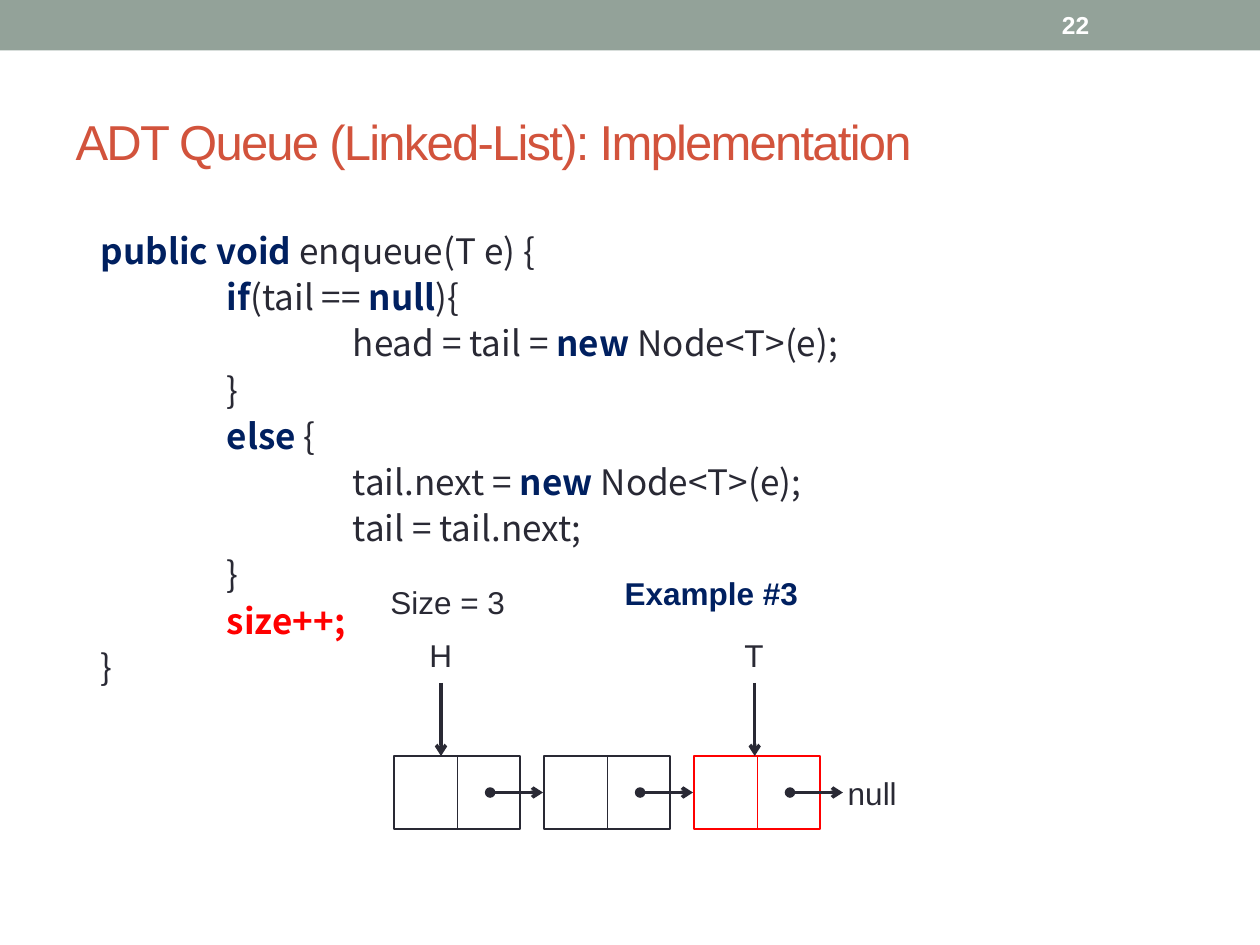
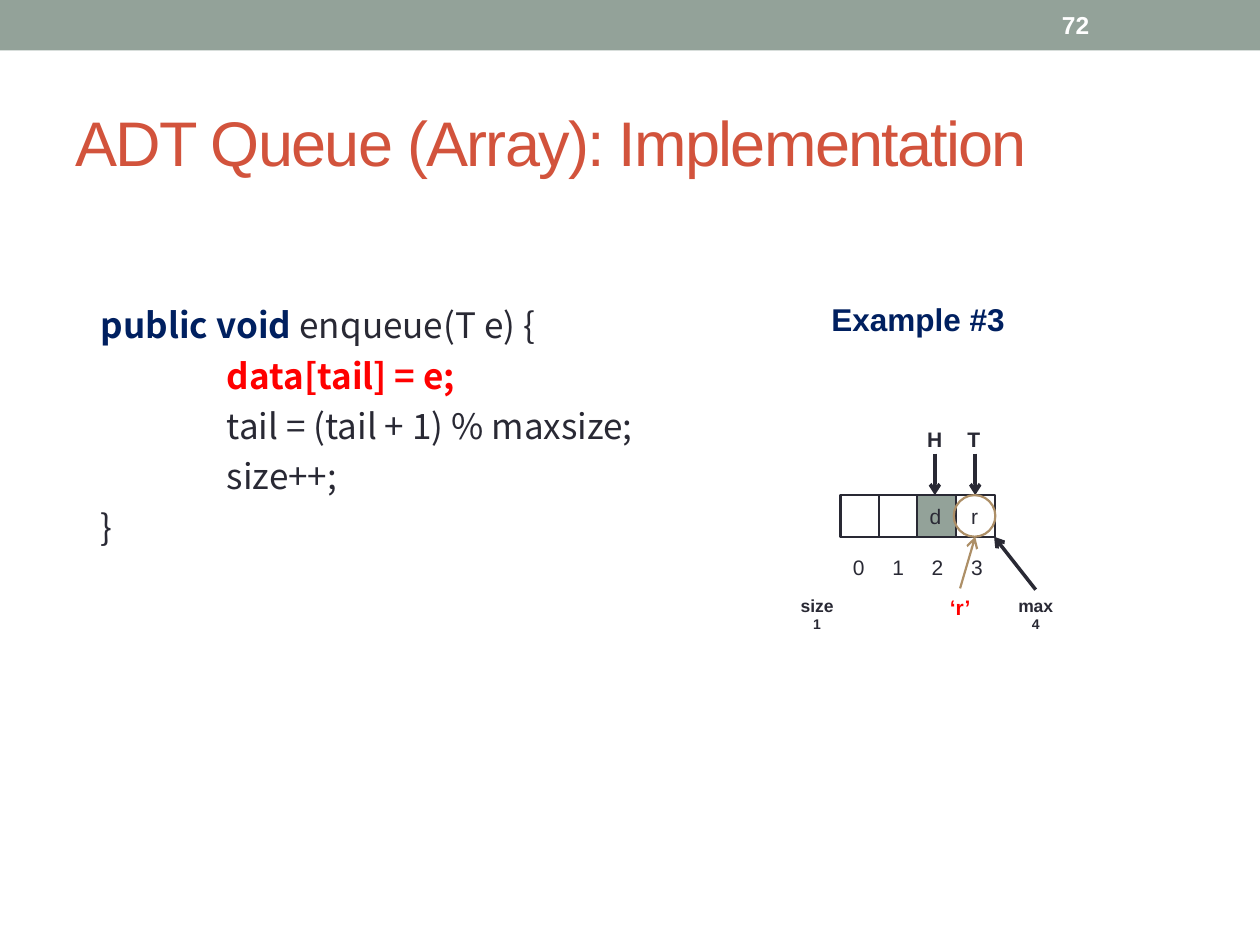
"""Build two slides on queue implementations."""
from lxml.etree import SubElement
from pptx import Presentation
from pptx.dml.color import RGBColor
from pptx.enum.shapes import MSO_CONNECTOR, MSO_SHAPE
from pptx.enum.text import MSO_ANCHOR, MSO_AUTO_SIZE, PP_ALIGN
from pptx.oxml.ns import qn
from pptx.util import Inches, Pt

WHITE = RGBColor(0xFF, 0xFF, 0xFF)
SAGE = RGBColor(0x93, 0xA2, 0x99)
INK = RGBColor(0x29, 0x29, 0x34)
NAVY = RGBColor(0x00, 0x20, 0x60)
RED = RGBColor(0xFF, 0x00, 0x00)
RUST = RGBColor(0xD2, 0x53, 0x3C)
TAN = RGBColor(0xAD, 0x8F, 0x67)

COLUMNS, ROWS = 100, 75
KEYWORD = {"color": NAVY, "bold": True}
CURRENT = {"color": RED, "bold": True}
CODE = {"name": "Noto Sans CJK SC", "size": Pt(20), "color": INK, "bold": False}
LABEL = {"name": "Arial", "size": Pt(18), "color": INK, "bold": False}
SMALL = LABEL | {"size": Pt(12)}
EXAMPLE = LABEL | KEYWORD

LINKED_CODE = [
    (0, [("public void ", KEYWORD), ("enqueue(T e) {", {})]),
    (1, [("if", KEYWORD), ("(tail == ", {}), ("null", KEYWORD), ("){", {})]),
    (2, [("head = tail = ", {}), ("new ", KEYWORD), ("Node<T>(e);", {})]),
    (1, [("}", {})]),
    (1, [("else ", KEYWORD), ("{", {})]),
    (2, [("tail.next = ", {}), ("new ", KEYWORD), ("Node<T>(e);", {})]),
    (2, [("tail = tail.next;", {})]),
    (1, [("}", {})]),
    (1, [("size++;", CURRENT)]),
    (0, [("}", {})]),
]
ARRAY_CODE = [
    (0, [("public void ", KEYWORD), ("enqueue(T e) {", {})]),
    (1, [("data[tail] = e;", CURRENT)]),
    (1, [("tail = (tail + 1) % maxsize;", {})]),
    (1, [("size++;", {})]),
    (0, [("}", {})]),
]


class Deck:
    """Hold the shared style and the current slide."""

    def __init__(self):
        """Start an empty presentation with a square grid."""
        self.presentation = Presentation()
        self.presentation.slide_width = Inches(10)
        self.presentation.slide_height = Inches(7.5)
        self.slide = None

    def grid(self, left, top, width, height):
        """Turn columns and rows into lengths."""
        column = self.presentation.slide_width / COLUMNS
        row = self.presentation.slide_height / ROWS
        return [int(left * column), int(top * row), int(width * column), int(height * row)]

    def place(self, shape, *box):
        """Move a placeholder to a grid box."""
        shape.left, shape.top, shape.width, shape.height = self.grid(*box)

    def add_text_run(self, paragraph, text, style):
        """Add a formatted run to a paragraph."""
        run = paragraph.add_run()
        run.text = text
        for name, value in style.items():
            if name == "color":
                run.font.color.rgb = value
            else:
                setattr(run.font, name, value)
        return run

    def new_slide(self, title, size, number):
        """Add a slide with band, title and number."""
        layout = self.presentation.slide_layouts[1]
        self.slide = self.presentation.slides.add_slide(layout)
        self.shape(MSO_SHAPE.RECTANGLE, (0, 0, COLUMNS, 4), SAGE)
        shape = self.slide.shapes.title
        self.place(shape, 5, 5.8, 90, 10.8)
        frame = shape.text_frame
        frame.vertical_anchor, frame.auto_size = MSO_ANCHOR.MIDDLE, MSO_AUTO_SIZE.NONE
        paragraph = frame.paragraphs[0]
        paragraph.alignment = PP_ALIGN.LEFT
        run = self.add_text_run(paragraph, title, LABEL | {"size": Pt(size), "color": RUST})
        run._r.get_or_add_rPr().set("spc", "-100")
        style = LABEL | {"size": Pt(14), "color": WHITE, "bold": True}
        box = self.text((83.3, 0.2, 11.7, 3.6), [(number, style)])
        box.text_frame.vertical_anchor = MSO_ANCHOR.MIDDLE

    def code(self, box, lines, inset, spacing):
        """Fill the body placeholder with indented code."""
        shape = self.slide.placeholders[1]
        self.place(shape, *box)
        frame = shape.text_frame
        frame.auto_size, frame.margin_top = MSO_AUTO_SIZE.NONE, Inches(inset)
        for index, (level, runs) in enumerate(lines):
            paragraph = frame.add_paragraph() if index else frame.paragraphs[0]
            properties = paragraph._p.get_or_add_pPr()
            properties.set("marL", str(Inches(0.2 + level)))
            properties.set("indent", "0")
            SubElement(properties, qn("a:buNone"))
            paragraph.line_spacing = spacing
            paragraph.space_before = Pt(4.8 if index else 0)
            for text, style in runs:
                self.add_text_run(paragraph, text, CODE | style)

    def text(self, box, lines, alignment=PP_ALIGN.LEFT):
        """Add a text box with one paragraph per line."""
        shape = self.slide.shapes.add_textbox(*self.grid(*box))
        frame = shape.text_frame
        frame.word_wrap = False
        for index, (text, style) in enumerate(lines):
            paragraph = frame.add_paragraph() if index else frame.paragraphs[0]
            paragraph.alignment = alignment
            self.add_text_run(paragraph, text, style)
        return shape

    def shape(self, kind, box, fill=None, line=None):
        """Add a preset shape without shadow."""
        shape = self.slide.shapes.add_shape(kind, *self.grid(*box))
        shape.shadow.inherit = False
        for part, color in ((shape.fill, fill), (shape.line.fill, line)):
            if color is None:
                part.background()
            else:
                part.solid()
                part.fore_color.rgb = color
        if line is not None:
            shape.line.width = Pt(1.25)

    def line(self, start, end, color=INK, width=2, head=None, tail="arrow"):
        """Draw a straight line with optional ends."""
        connector = self.slide.shapes.add_connector(
            MSO_CONNECTOR.STRAIGHT, *self.grid(*start, *end))
        connector.line.color.rgb = color
        connector.line.width = Pt(width)
        properties = connector._element.spPr
        outline = properties.find(qn("a:ln"))
        for tag, kind in (("a:headEnd", head), ("a:tailEnd", tail)):
            if kind:
                SubElement(outline, qn(tag)).set("type", kind)
        SubElement(properties, qn("a:effectLst"))

    def node(self, left, color):
        """Draw a list node and its link."""
        self.shape(MSO_SHAPE.RECTANGLE, (left, 60, 10, 5.8), WHITE, color)
        self.line((left + 5, 60), (left + 5, 65.8), color, 0.75, tail=None)
        self.line((left + 7.6, 62.9), (left + 11.8, 62.9), head="oval")


def linked_list_slide(deck):
    """Show enqueue on a linked list."""
    deck.new_slide("ADT Queue (Linked-List): Implementation", 28, "22")
    deck.code((5, 17.5, 90, 53.3), LINKED_CODE, 0.11, 0.9)
    for index, color in enumerate((INK, INK, RED)):
        deck.node(31.3 + 11.9 * index, color)
    for pointer, left, center in (("H", 33.1, 35), ("T", 58.1, 59.9)):
        deck.text((left, 50, 3.8, 4), [(pointer, LABEL)])
        deck.line((center, 54.2), (center, 60))
    deck.text((30, 45.8, 12.2, 4), [("Size = 3", LABEL)])
    deck.text((66.3, 60.9, 6.6, 4), [("null", LABEL)])
    deck.text((48.6, 45.1, 16.4, 4), [("Example #3", EXAMPLE)])


def array_slide(deck):
    """Show enqueue on a circular array."""
    deck.new_slide("ADT Queue (Array): Implementation", 36, "72")
    deck.code((5, 15.8, 85.8, 45.8), ARRAY_CODE, 0.83, 1.0)
    for index, fill in enumerate((WHITE, WHITE, SAGE, WHITE)):
        deck.shape(MSO_SHAPE.RECTANGLE, (66.7 + 3.05 * index, 39.3, 3.1, 3.3), fill, INK)
        deck.text((66.7 + 3.13 * index, 43.5, 3.1, 3), [(str(index), SMALL)])
    for pointer, left, center in (("H", 72.6, 74.2), ("T", 75.8, 77.4)):
        deck.text((left, 33.4, 3.2, 3), [(pointer, SMALL | {"bold": True})])
        deck.line((center, 36), (center, 39.3))
    for name, value, left, width in (("size", "1", 62.5, 4.7), ("max", "4", 79.7, 5)):
        lines = [(text, LABEL | {"size": Pt(size), "bold": True})
                 for text, size in ((name, 10), (value, 8))]
        deck.text((left, 46.7, width, 4), lines, PP_ALIGN.CENTER)
    deck.line((82.2, 46.8), (78.9, 42.6))
    deck.line((76.2, 46.7), (77.4, 42.6), TAN, 1.25)
    deck.shape(MSO_SHAPE.OVAL, (75.7, 39.3, 3.3, 3.3), line=TAN)
    for letter, left, width in (("d", 72.8, 3.1), ("r", 76.1, 2.7)):
        deck.text((left, 39.5, width, 3), [(letter, SMALL)])
    deck.text((74.3, 46.7, 3.8, 3), [("‘r’", SMALL | CURRENT)], PP_ALIGN.CENTER)
    deck.text((65, 23.3, 16.4, 4), [("Example #3", EXAMPLE)])


def main():
    """Build and save the slides."""
    deck = Deck()
    linked_list_slide(deck)
    array_slide(deck)
    deck.presentation.save("out.pptx")


if __name__ == "__main__":
    main()
